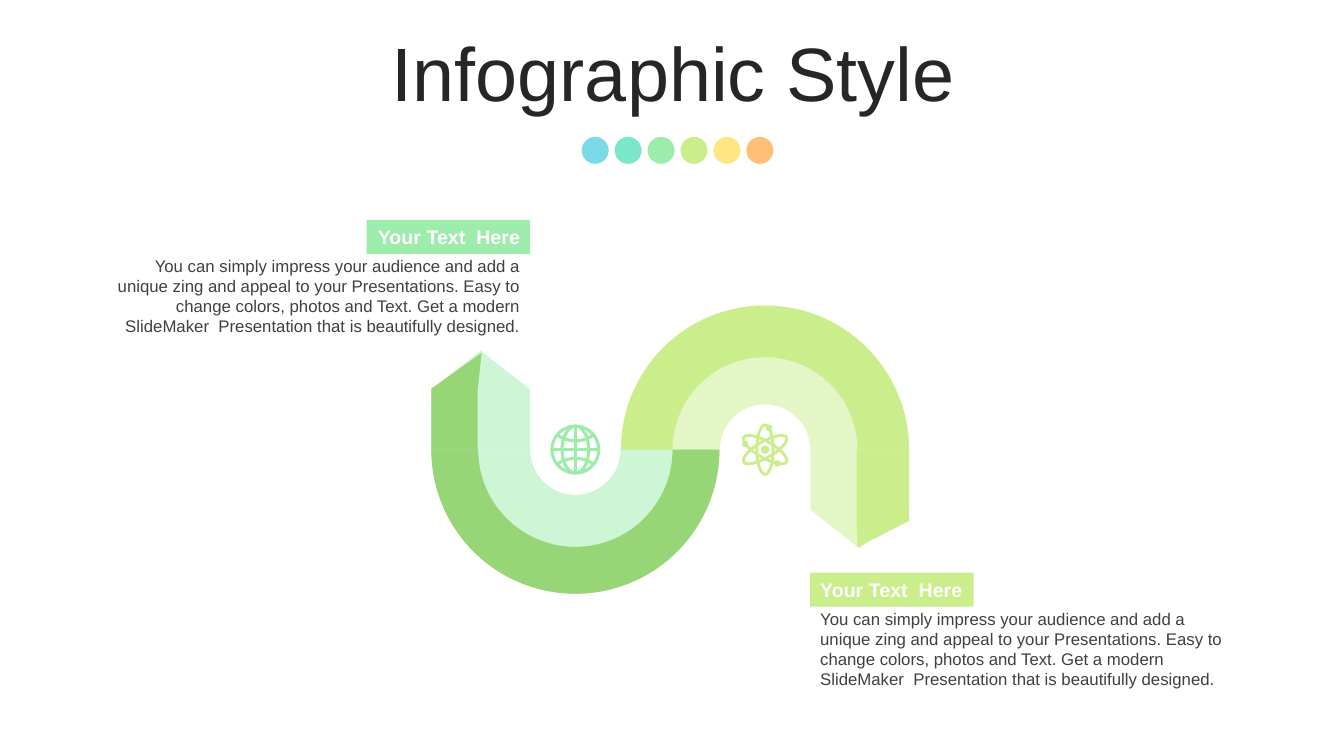
from lxml import etree
from pptx import Presentation
from pptx.dml.color import RGBColor
from pptx.enum.shapes import MSO_CONNECTOR, MSO_SHAPE
from pptx.enum.text import MSO_ANCHOR, PP_ALIGN
from pptx.oxml.ns import qn
from pptx.util import Cm, Pt

ELLIPSE, RECTANGLE = MSO_SHAPE.OVAL, MSO_SHAPE.RECTANGLE
BLOCK_ARC, PENTAGON = MSO_SHAPE.BLOCK_ARC, MSO_SHAPE.PENTAGON
STRAIGHT = MSO_CONNECTOR.STRAIGHT
TOP, MIDDLE = MSO_ANCHOR.TOP, MSO_ANCHOR.MIDDLE
LEFT, CENTER, RIGHT = PP_ALIGN.LEFT, PP_ALIGN.CENTER, PP_ALIGN.RIGHT

SKY = RGBColor(0x7A, 0xDA, 0xE8)
TEAL = RGBColor(0x7A, 0xE8, 0xC8)
MINT = RGBColor(0x9E, 0xEC, 0xAC)
LIME = RGBColor(0xCA, 0xEE, 0x8C)
YELLOW = RGBColor(0xFE, 0xE6, 0x80)
ORANGE = RGBColor(0xFE, 0xC0, 0x76)
LEAF = RGBColor(0x8E, 0xC0, 0x43)
WHITE = RGBColor(0xFF, 0xFF, 0xFF)
INK = RGBColor(0x26, 0x26, 0x26)
GRAY = RGBColor(0x40, 0x40, 0x40)

FONT = "Arial"
PAGE_WIDTH, PAGE_HEIGHT = 33.87, 19.05
RING_SIZE = 7.26
BAND_WIDTH = 2.49
LABEL = "Your Text  Here"
DESCRIPTION = (
    "You can simply impress your audience and add a unique zing and appeal to "
    "your Presentations. Easy to change colors, photos and Text. Get a modern "
    "SlideMaker  Presentation that is beautifully designed."
)


def paint(shape, color, opacity=100):
    shape.shadow.inherit = False
    shape.fill.solid()
    shape.fill.fore_color.rgb = color
    shape.line.fill.background()
    if opacity < 100:
        color_element = next(shape._element.spPr.iter(qn("a:srgbClr")))
        etree.SubElement(color_element, qn("a:alpha"), val=str(opacity * 1000))


def outline(shape, color, width):
    shape.shadow.inherit = False
    shape.fill.background()
    shape.line.color.rgb = color
    shape.line.width = Pt(width)


def add_centered(shapes, kind, x, y, width, height):
    return shapes.add_shape(kind, Cm(x - width / 2), Cm(y - height / 2),
                            Cm(width), Cm(height))


def write(frame, text, size, color, align, anchor=TOP, bold=False):
    frame.word_wrap = True
    frame.vertical_anchor = anchor
    para = frame.paragraphs[0]
    para.text = text
    para.alignment = align
    para.font.name = FONT
    para.font.size = Pt(size)
    para.font.color.rgb = color
    para.font.bold = bold
    return para


def add_title(page, left, top, width, height):
    title = page.shapes.title
    title.left, title.top = Cm(left), Cm(top)
    title.width, title.height = Cm(width), Cm(height)
    para = write(title.text_frame, "Infographic Style", 54, INK, CENTER, MIDDLE)
    para.line_spacing = 0.9


def add_dot_row(page, center, top, size=0.68, pitch=0.83):
    colors = (SKY, TEAL, MINT, LIME, YELLOW, ORANGE)
    first = center - (len(colors) - 1) * pitch / 2
    for index, color in enumerate(colors):
        dot = add_centered(page.shapes, ELLIPSE, first + index * pitch,
                           top + size / 2, size, size)
        paint(dot, color)


def add_ribbon(page, left, top, side, edge_color, light_color, edge_width, edge_tip):
    """Half ring with a pointed end: side 1 ends down at the right, -1 up at the left.

    edge_tip lists (inward, outward) distances from the outer end of the ring.
    """
    shapes = page.shapes
    center, middle = left + RING_SIZE / 2, top + RING_SIZE / 2
    outer = center + side * RING_SIZE / 2

    def add_half_ring(width, color, opacity=100):
        ring = add_centered(shapes, BLOCK_ARC, center, middle, RING_SIZE, RING_SIZE)
        ring.adjustments[0] = 108
        ring.adjustments[1] = 0
        ring.adjustments[2] = width / RING_SIZE
        ring.rotation = 0 if side > 0 else 180
        paint(ring, color, opacity)

    add_half_ring(edge_width, edge_color)
    points = [(Cm(outer - side * inward), Cm(middle + side * outward))
              for inward, outward in edge_tip]
    builder = shapes.build_freeform(*points[0])
    builder.add_line_segments(points[1:])
    paint(builder.convert_to_shape(), edge_color)

    add_half_ring(BAND_WIDTH, light_color, 50)
    tip = add_centered(shapes, PENTAGON, outer - side * BAND_WIDTH / 2,
                       middle + side * BAND_WIDTH / 2, BAND_WIDTH, BAND_WIDTH)
    tip.adjustments[0] = 0.39
    tip.rotation = side * 90
    paint(tip, light_color, 50)


def add_globe(page, x, y, color, size=1.18, weight=2.25):
    shapes = page.shapes.add_group_shape().shapes
    for width in (size, size * 0.57):
        outline(add_centered(shapes, ELLIPSE, x, y, width, size), color, weight)
    radius = size / 2
    for reach_x, reach_y in ((radius, 0), (0, radius)):
        line = shapes.add_connector(STRAIGHT, Cm(x - reach_x), Cm(y - reach_y),
                                    Cm(x + reach_x), Cm(y + reach_y))
        line.line.color.rgb = color
        line.line.width = Pt(weight)
        etree.SubElement(line._element.spPr, qn("a:effectLst"))
    for side in (-1, 1):
        steps = [step / 6 for step in range(-6, 7)]
        points = [(Cm(x + 0.45 * step), Cm(y + side * (0.22 + 0.14 * step ** 2)))
                  for step in steps]
        builder = shapes.build_freeform(*points[0])
        builder.add_line_segments(points[1:], close=False)
        outline(builder.convert_to_shape(), color, weight)


def add_atom(page, x, y, color):
    shapes = page.shapes.add_group_shape().shapes
    for angle in (0, 60, 120):
        orbit = add_centered(shapes, ELLIPSE, x, y, 0.41, 1.25)
        orbit.rotation = angle
        outline(orbit, color, 2)
    particles = ((0, 0, 0.21), (0.1, -0.55, 0.16), (-0.5, -0.14, 0.16),
                 (0.31, 0.35, 0.16))
    for shift_x, shift_y, size in particles:
        dot = add_centered(shapes, ELLIPSE, x + shift_x, y + shift_y, size, size)
        paint(dot, color)


def add_callout(page, left, top, width, color, align):
    label_width, label_height = 4.12, 0.86
    label_left = left + width - label_width if align == RIGHT else left
    label = page.shapes.add_shape(RECTANGLE, Cm(label_left), Cm(top),
                                  Cm(label_width), Cm(label_height))
    paint(label, color)
    write(label.text_frame, LABEL, 14, WHITE, align, bold=True)
    body = page.shapes.add_textbox(Cm(left), Cm(top + 0.78), Cm(width), Cm(2.31))
    write(body.text_frame, DESCRIPTION, 12, GRAY, align)


def build_page(deck):
    page = deck.slides.add_slide(deck.slide_layouts[5])
    add_title(page, 0.89, 0.94, 32.16, 2.01)
    add_dot_row(page, PAGE_WIDTH / 2 + 0.14, 3.45)

    ring_top = 7.7
    middle = ring_top + RING_SIZE / 2
    left_ring, right_ring = 10.87, 15.65
    add_ribbon(page, right_ring, ring_top, 1, LIME, LIME, 1.3,
               [(0, 0), (0, 1.8), (1.3, 2.46), (1.32, 1.8), (1.32, 0)])
    add_ribbon(page, left_ring, ring_top, -1, LEAF, MINT, 1.18,
               [(0, 0), (0, 1.53), (1.27, 2.44), (1.17, 1.53), (1.17, 0)])

    add_callout(page, 2.41, 5.54, 10.95, MINT, RIGHT)
    add_callout(page, 20.42, 14.43, 10.9, LIME, LEFT)
    add_globe(page, left_ring + RING_SIZE / 2, middle, MINT)
    add_atom(page, right_ring + RING_SIZE / 2, middle, LIME)


def main():
    deck = Presentation()
    deck.slide_width, deck.slide_height = Cm(PAGE_WIDTH), Cm(PAGE_HEIGHT)
    build_page(deck)
    deck.save("out.pptx")


if __name__ == "__main__":
    main()
